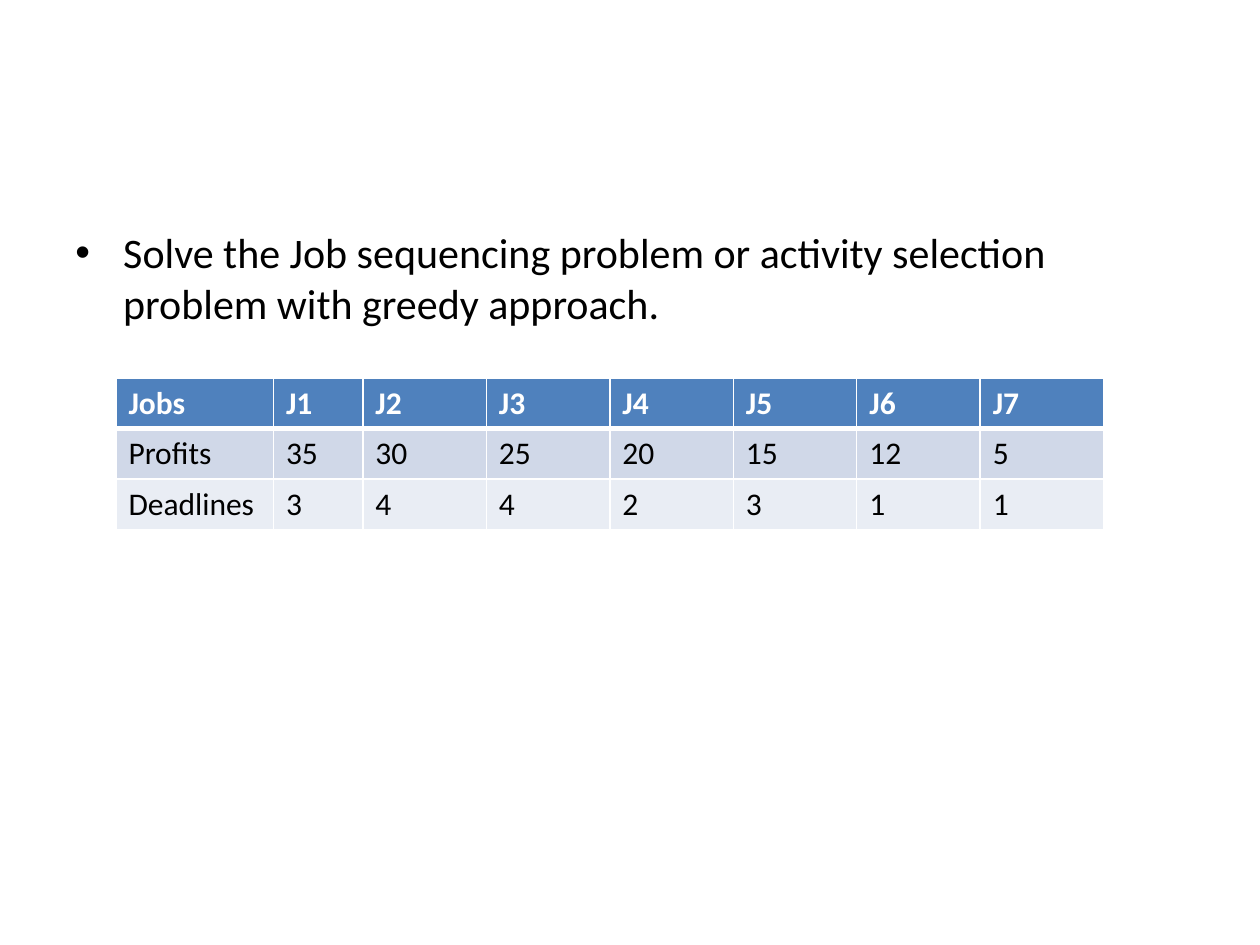
from lxml.etree import SubElement
from pptx import Presentation
from pptx.dml.color import RGBColor
from pptx.oxml.ns import qn
from pptx.util import Inches, Pt

WIDE, HIGH = 10, 7.5
HUES = {"ink": "000000", "paper": "FFFFFF", "head": "4F81BD",
        "dark": "D0D8E8", "light": "E9EDF4"}
JOBS = [
    ("Jobs", "J1", "J2", "J3", "J4", "J5", "J6", "J7"),
    ("Profits", 35, 30, 25, 20, 15, 12, 5),
    ("Deadlines", 3, 4, 4, 2, 3, 1, 1),
]


class Page:
    def __init__(self, deck):
        self.slide = deck.slides.add_slide(deck.slide_layouts[6])
        self.font = "Calibri"

    def box(self, x, y, w, h):
        """Turn shares of the slide's size into lengths."""
        return (Inches(x * WIDE), Inches(y * HIGH),
                Inches(w * WIDE), Inches(h * HIGH))

    def add_text(self, para, text, size, hue, bold=False):
        run = para.add_run()
        run.text = str(text)
        run.font.name = self.font
        run.font.size = Pt(size)
        run.font.bold = bold
        run.font.color.rgb = RGBColor.from_string(HUES[hue])

    def bullet(self, area, text, size=24, indent=0.38):
        frame = self.slide.shapes.add_textbox(*self.box(*area)).text_frame
        frame.word_wrap = True
        para = frame.paragraphs[0]
        self.add_text(para, text, size, "ink")
        props = para._p.get_or_add_pPr()
        props.set("marL", str(Inches(indent)))
        props.set("indent", str(-Inches(indent)))
        SubElement(props, qn("a:buFont"), typeface="Arial")
        SubElement(props, qn("a:buChar"), char="•")

    def edge(self, cell, side, width):
        line = SubElement(cell._tc.get_or_add_tcPr(), qn(f"a:ln{side}"),
                          w=str(Pt(width)))
        fill = SubElement(line, qn("a:solidFill"))
        SubElement(fill, qn("a:srgbClr"), val=HUES["paper"])

    def table(self, area, rows, widths, size=18):
        left, top, wide, high = self.box(*area)
        grid = self.slide.shapes.add_table(
            len(rows), len(widths), left, top, wide, high).table
        for col, width in zip(grid.columns, widths):
            col.width = Inches(width)
        for r, row in enumerate(rows):
            head = r == 0
            fill = "head" if head else "dark" if r % 2 else "light"
            edges = {"L": 1, "R": 1, "T": 3 if r == 1 else 1,
                     "B": 3 if head else 1}
            for c, text in enumerate(row):
                cell = grid.cell(r, c)
                for side, width in edges.items():
                    self.edge(cell, side, width)
                cell.fill.solid()
                cell.fill.fore_color.rgb = RGBColor.from_string(HUES[fill])
                self.add_text(cell.text_frame.paragraphs[0], text, size,
                              "paper" if head else "ink", head)


def main():
    deck = Presentation()
    deck.slide_width, deck.slide_height = Inches(WIDE), Inches(HIGH)
    page = Page(deck)
    page.bullet((0.05, 1.75 / HIGH, 0.9, 0.66),
                "Solve the Job sequencing problem or activity selection "
                "problem with greedy approach.")
    page.table((0.092, 0.4, 0.784, 0.16), JOBS, [1.25, 0.71] + [0.98] * 6)
    deck.save("out.pptx")


if __name__ == "__main__":
    main()
